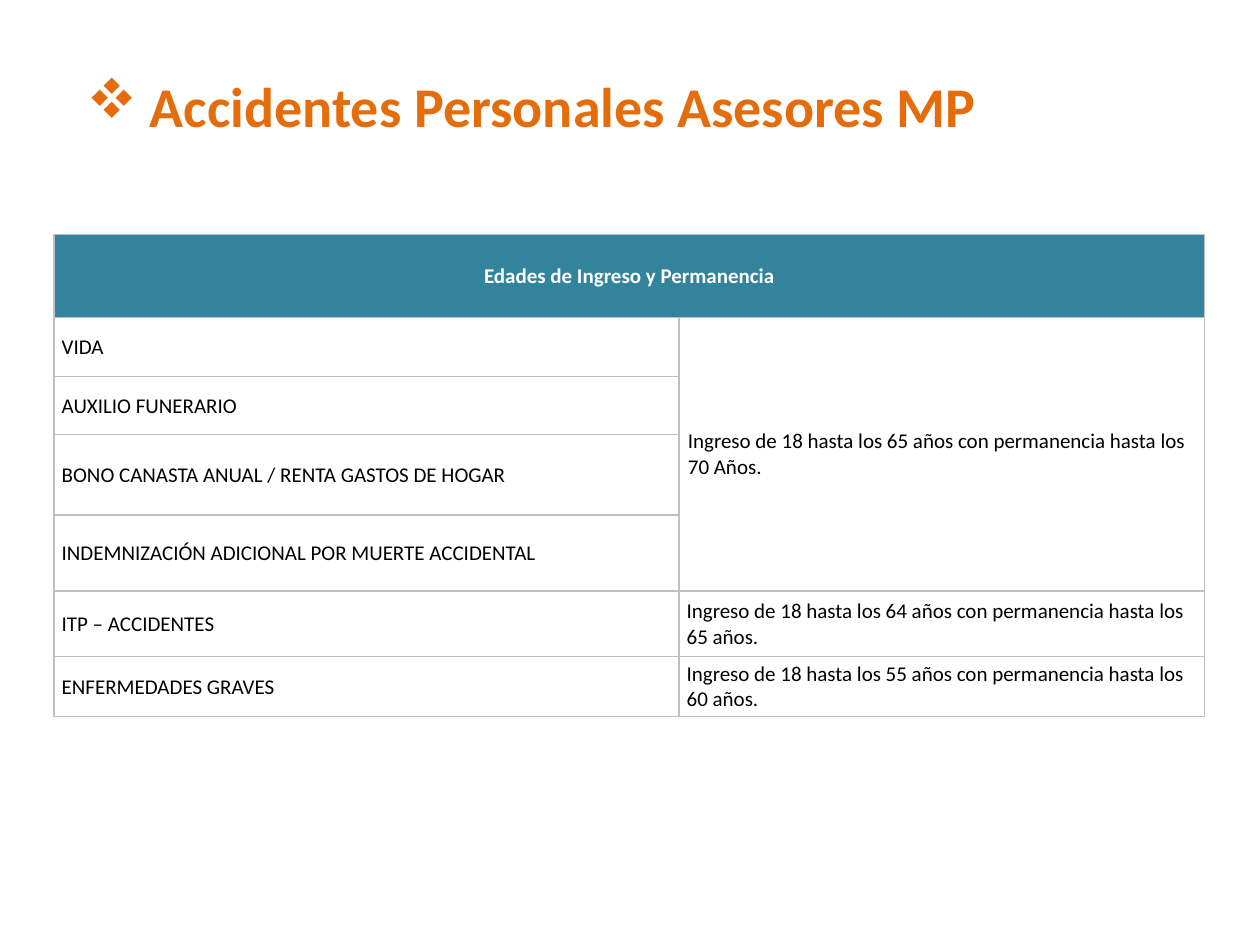
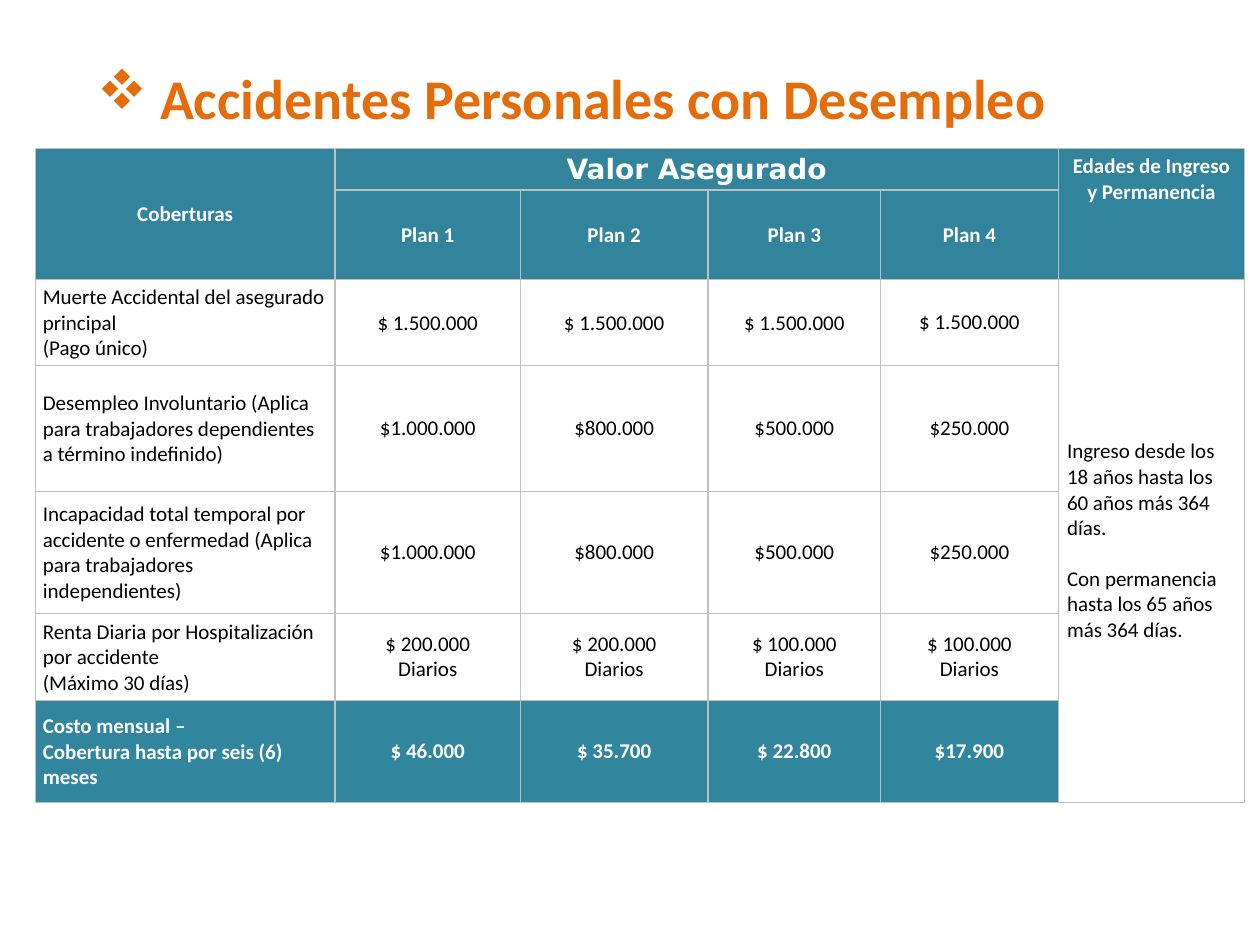
from dataclasses import dataclass
from lxml.etree import SubElement
from pptx import Presentation
from pptx.dml.color import RGBColor
from pptx.enum.text import MSO_ANCHOR as Anchor, MSO_AUTO_SIZE as AutoSize, PP_ALIGN as Align
from pptx.oxml.ns import qn
from pptx.util import Inches, Pt

ORANGE, TEAL, TEAL_TOTAL = "E46C0A", "31849B", "31859C"
WHITE, BLACK, GREY = "FFFFFF", "000000", "C0C0C0"
FONT, BANNER_FONT = "Calibri", "DejaVu Sans"
NORMAL, TIGHT, WIDE = (0.06, 0.04, 0.06, 0.03), (0.05, 0, 0.05, 0), (0.07, 0, 0.07, 0)


@dataclass
class CellStyle:
    insets: tuple = NORMAL
    align: Align = Align.LEFT
    anchor: Anchor = Anchor.MIDDLE
    fill: str = ""
    size: int = 12
    font: str = FONT
    paragraph_gap: float = 0


LABEL = CellStyle()
AGES = CellStyle(WIDE, paragraph_gap=14.4)
AMOUNT = CellStyle(TIGHT, Align.CENTER)
FIRST_AMOUNT = CellStyle(NORMAL, Align.CENTER)
LAST_FIRST_AMOUNT = CellStyle(WIDE, Align.CENTER)
HEADER = CellStyle(NORMAL, Align.CENTER, fill=TEAL)
LAST_PLAN = CellStyle(WIDE, Align.CENTER, fill=TEAL)
TOP_HEADER = CellStyle(NORMAL, Align.CENTER, Anchor.TOP, TEAL)
BANNER = CellStyle(NORMAL, Align.CENTER, Anchor.TOP, TEAL, 16, BANNER_FONT)
TOTAL_LABEL = CellStyle(fill=TEAL_TOTAL)
TOTAL = CellStyle(TIGHT, Align.CENTER, fill=TEAL_TOTAL)

ADVISER_ROWS = [
    ["Edades de Ingreso y Permanencia", ""],
    ["VIDA", "Ingreso de 18 hasta los 65 años con permanencia hasta los 70 Años."],
    ["AUXILIO FUNERARIO", ""],
    ["BONO CANASTA ANUAL / RENTA GASTOS DE HOGAR", ""],
    ["INDEMNIZACIÓN ADICIONAL POR MUERTE ACCIDENTAL", ""],
    ["ITP – ACCIDENTES", "Ingreso de 18 hasta los 64 años con permanencia hasta los 65 años."],
    ["ENFERMEDADES GRAVES", "Ingreso de 18 hasta los 55 años con permanencia hasta los 60 años."],
]
UNEMPLOYMENT_ROWS = [
    ["Coberturas", "Valor Asegurado", "", "", "", "Edades de Ingreso\ny Permanencia"],
    ["", "Plan 1", "Plan 2", "Plan 3", "Plan 4", ""],
    ["Muerte Accidental del asegurado principal\n(Pago único)",
     "$ 1.500.000", "$ 1.500.000", "$ 1.500.000", "$ 1.500.000",
     "Ingreso desde los 18 años hasta los 60 años más 364 días.\n"
     "Con permanencia hasta los 65 años más 364 días."],
    ["Desempleo Involuntario (Aplica para trabajadores dependientes a término indefinido)",
     "$1.000.000", "$800.000", "$500.000", "$250.000", ""],
    ["Incapacidad total temporal por accidente o enfermedad (Aplica para trabajadores independientes)",
     "$1.000.000", "$800.000", "$500.000", "$250.000", ""],
    ["Renta Diaria por Hospitalización por accidente\n(Máximo 30 días)",
     "$ 200.000\nDiarios", "$ 200.000\nDiarios", "$ 100.000\nDiarios", "$ 100.000\nDiarios", ""],
    ["Costo mensual –\nCobertura hasta por seis (6) meses",
     "$ 46.000", "$ 35.700", "$ 22.800", "$17.900", ""],
]

# Each merge is first row, first column, last row, last column.
SLIDES = [
    dict(title="Accidentes Personales Asesores MP", title_box=(0.59, 0.52, 8.82, 0.64),
         rows=ADVISER_ROWS, corner=(0.43, 1.86), widths=[4.96, 4.17],
         heights=[0.66, 0.47, 0.46, 0.64, 0.6, 0.52, 0.47],
         merges=[(0, 0, 0, 1), (1, 1, 4, 1)],
         styles=[[HEADER] * 2, [LABEL, AGES]] + [[LABEL] * 2] * 5),
    dict(title="Accidentes Personales con Desempleo", title_box=(0.67, 0.45, 8.19, 1.18),
         rows=UNEMPLOYMENT_ROWS, corner=(0.28, 1.18),
         widths=[2.38, 1.47, 1.49, 1.37, 1.41, 1.48],
         heights=[0.33, 0.71, 0.67, 1, 0.97, 0.69, 0.81],
         merges=[(0, 0, 1, 0), (0, 1, 0, 4), (0, 5, 1, 5), (2, 5, 6, 5)],
         styles=[[HEADER] + [BANNER] * 4 + [TOP_HEADER],
                 [HEADER] * 4 + [LAST_PLAN, TOP_HEADER],
                 [LABEL] + [FIRST_AMOUNT] * 3 + [LAST_FIRST_AMOUNT, AGES]]
         + [[LABEL] + [AMOUNT] * 4 + [AGES]] * 3
         + [[TOTAL_LABEL] + [TOTAL] * 4 + [AGES]]),
]


def color(hex_code):
    return RGBColor.from_string(hex_code)


def add_run(paragraph, text, size, hex_code, bold, font=FONT):
    run = paragraph.add_run()
    run.text = text
    run.font.size, run.font.bold, run.font.name = Pt(size), bold, font
    run.font.color.rgb = color(hex_code)


def set_title(slide, text, box):
    title = slide.shapes.title
    title.left, title.top, title.width, title.height = map(Inches, box)
    frame = title.text_frame
    frame.word_wrap, frame.auto_size = True, AutoSize.NONE
    frame.vertical_anchor = Anchor.TOP
    paragraph = frame.paragraphs[0]
    paragraph.alignment = Align.LEFT
    properties = paragraph._p.get_or_add_pPr()
    properties.set("marL", str(Inches(0.5)))
    properties.set("indent", str(-Inches(0.5)))
    SubElement(properties, qn("a:buFont"), typeface="Wingdings")
    SubElement(properties, qn("a:buChar"), char="v")
    add_run(paragraph, text, 32, ORANGE, True)


def add_borders(cell):
    properties = cell._tc.get_or_add_tcPr()
    for side in ("a:lnL", "a:lnR", "a:lnT", "a:lnB"):
        line = SubElement(properties, qn(side), w=str(Pt(1)))
        SubElement(SubElement(line, qn("a:solidFill")), qn("a:srgbClr"), val=GREY)


def format_cell(cell, text, style):
    add_borders(cell)
    if style.fill:
        cell.fill.solid()
        cell.fill.fore_color.rgb = color(style.fill)
    else:
        cell.fill.background()
    cell.margin_left, cell.margin_top, cell.margin_right, cell.margin_bottom = map(Inches, style.insets)
    cell.vertical_anchor = style.anchor
    if not text:
        return
    frame = cell.text_frame
    for index, line in enumerate(text.split("\n")):
        paragraph = frame.add_paragraph() if index else frame.paragraphs[0]
        paragraph.alignment = style.align
        if index and style.paragraph_gap:
            paragraph.space_before = Pt(style.paragraph_gap)
        add_run(paragraph, line, style.size, WHITE if style.fill else BLACK, bool(style.fill), style.font)


def add_coverage_table(slide, rows, styles, corner, widths, heights, merges):
    box = map(Inches, (*corner, sum(widths), sum(heights)))
    table = slide.shapes.add_table(len(rows), len(widths), *box).table
    table.first_row = table.horz_banding = False
    for column, width in zip(table.columns, widths):
        column.width = Inches(width)
    for row, height in zip(table.rows, heights):
        row.height = Inches(height)
    for row, texts, row_styles in zip(table.rows, rows, styles):
        for cell, text, style in zip(row.cells, texts, row_styles):
            format_cell(cell, text, style)
    for top, left, bottom, right in merges:
        table.cell(top, left).merge(table.cell(bottom, right))


def main():
    presentation = Presentation()
    presentation.slide_width, presentation.slide_height = Inches(10), Inches(7.5)
    title_only = presentation.slide_layouts[5]
    for content in SLIDES:
        slide = presentation.slides.add_slide(title_only)
        set_title(slide, content["title"], content["title_box"])
        add_coverage_table(slide, content["rows"], content["styles"], content["corner"],
                           content["widths"], content["heights"], content["merges"])
    presentation.save("out.pptx")


if __name__ == "__main__":
    main()
